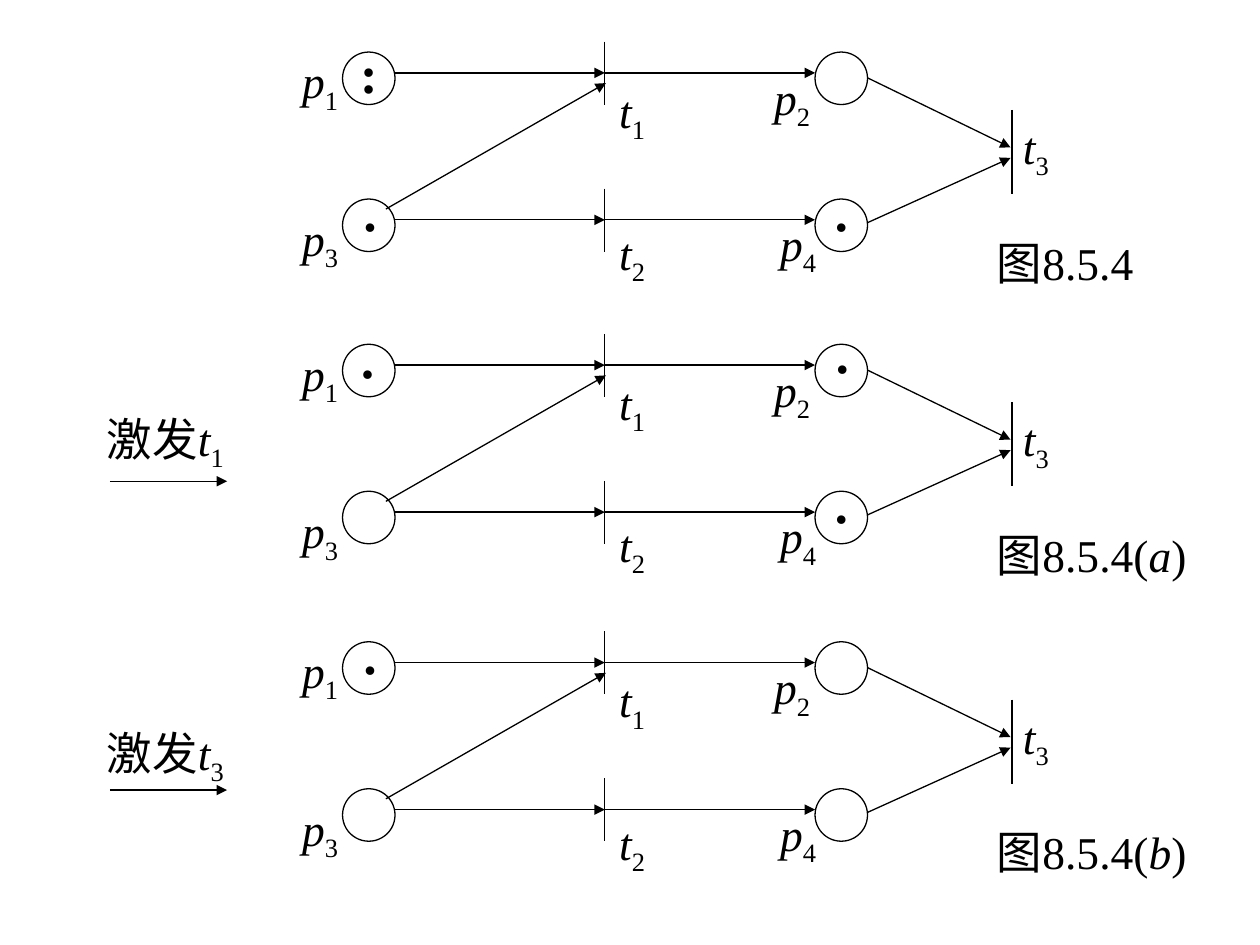
"""Build a slide of three Petri net markings and the firings between them."""
from lxml import etree
from pptx import Presentation
from pptx.dml.color import RGBColor
from pptx.enum.shapes import MSO_CONNECTOR, MSO_SHAPE
from pptx.enum.text import MSO_AUTO_SIZE
from pptx.oxml.ns import qn
from pptx.util import Pt

BLACK = RGBColor(0, 0, 0)
LINE_WIDTH = Pt(0.75)
PLACE_SIZE = 30
ROW_GAP = 84
LEFT_X, RIGHT_X, BAR_X, JOIN_X = 195.75, 465.75, 345.6, 578.25
PLACE_Y, FLOW_Y, BAR_Y = 29.75, 41.65, 23.75


def add_line(shapes, x1, y1, x2, y2, arrow=False):
    line = shapes.add_connector(MSO_CONNECTOR.STRAIGHT, Pt(x1), Pt(y1), Pt(x2), Pt(y2))
    line.line.color.rgb = BLACK
    line.line.width = LINE_WIDTH
    if arrow:
        etree.SubElement(line.line._get_or_add_ln(), qn("a:tailEnd"), type="triangle")
    etree.SubElement(line._element.spPr, qn("a:effectLst"))


def add_text(shapes, x, y, width, height, runs, size=26):
    box = shapes.add_textbox(Pt(x), Pt(y), Pt(width), Pt(height))
    frame = box.text_frame
    frame.word_wrap = False
    frame.auto_size = MSO_AUTO_SIZE.SHAPE_TO_FIT_TEXT
    for text, style in runs:
        run = frame.paragraphs[0].add_run()
        run.text = text
        run.font.name = "Times New Roman"
        run.font.size = Pt(size)
        run.font.color.rgb = BLACK
        run.font.bold = style == "bold"
        run.font.italic = style == "italic"
        if style == "sub":
            run.font._element.set("baseline", "-25000")


presentation = Presentation()
presentation.slide_width, presentation.slide_height = Pt(720), Pt(540)
slide = presentation.slides.add_slide(presentation.slide_layouts[6])

labels = [
    ("p", "1", 165.5, 27, 37),
    ("p", "3", 165.5, 117, 37),
    ("t", "1", 346.75, 43.75, 31),
    ("t", "2", 346.75, 125, 31),
    ("p", "2", 435.25, 36.25, 37),
    ("p", "4", 438.75, 120, 37),
    ("t", "3", 577.5, 64.5, 31),
]

nets = [
    (0, [(":", 198.75, 20), ("·", 199.5, 106.5), ("·", 468.75, 106.5)],
     [("图8.5.4", "")], 98.75, None),
    (167, [("·", 198, 23.75), ("·", 468.75, 106.5), ("·", 469.25, 21)],
     [("图8.5.4(", ""), ("a", "italic"), (")", "")], 129, ("1", 231.25, 275)),
    (337, [("·", 199.5, 23)],
     [("图8.5.4(", ""), ("b", "italic"), (")", "")], 129, ("3", 410.75, 451.5)),
]

for top, tokens, caption, caption_width, firing in nets:
    net = slide.shapes.add_group_shape().shapes
    for row in range(2):
        row_top = top + row * ROW_GAP
        for place_x in (LEFT_X, RIGHT_X):
            place = net.add_shape(MSO_SHAPE.OVAL, Pt(place_x), Pt(row_top + PLACE_Y),
                                  Pt(PLACE_SIZE), Pt(PLACE_SIZE))
            place.fill.background()
            place.line.color.rgb = BLACK
            place.line.width = LINE_WIDTH
            place.shadow.inherit = False
        add_line(net, BAR_X, row_top + BAR_Y, BAR_X, row_top + BAR_Y + 36)
        flow_y = row_top + FLOW_Y
        add_line(net, LEFT_X + PLACE_SIZE, flow_y, BAR_X, flow_y, arrow=True)
        add_line(net, BAR_X, flow_y, RIGHT_X, flow_y, arrow=True)

    add_line(net, JOIN_X, top + 62.75, JOIN_X, top + 110.75)
    add_line(net, 220.5, top + 119.5, 346.25, top + 47.5, arrow=True)
    for start_y, end_y in ((127.25, 90.25), (44.5, 84.25)):
        add_line(net, RIGHT_X + PLACE_SIZE, top + start_y, 577.5, top + end_y, arrow=True)

    for mark, x, y in tokens:
        add_text(net, x, top + y, 24.5, 43.25, [(mark, "bold")], size=30)
    for letter, index, x, y, width in labels:
        add_text(net, x, top + y, width, 43.25, [(letter, "italic"), (index, "sub")])
    add_text(net, 562.5, top + 130.5, caption_width, 38.75, caption)

    if firing:
        index, firing_y, arrow_y = firing
        add_text(net, 54, firing_y, 92, 43.25,
                 [("激发", ""), ("t", "italic"), (index, "sub")])
        add_line(slide.shapes, 62.75, arrow_y, 129.75, arrow_y, arrow=True)

presentation.save("out.pptx")
